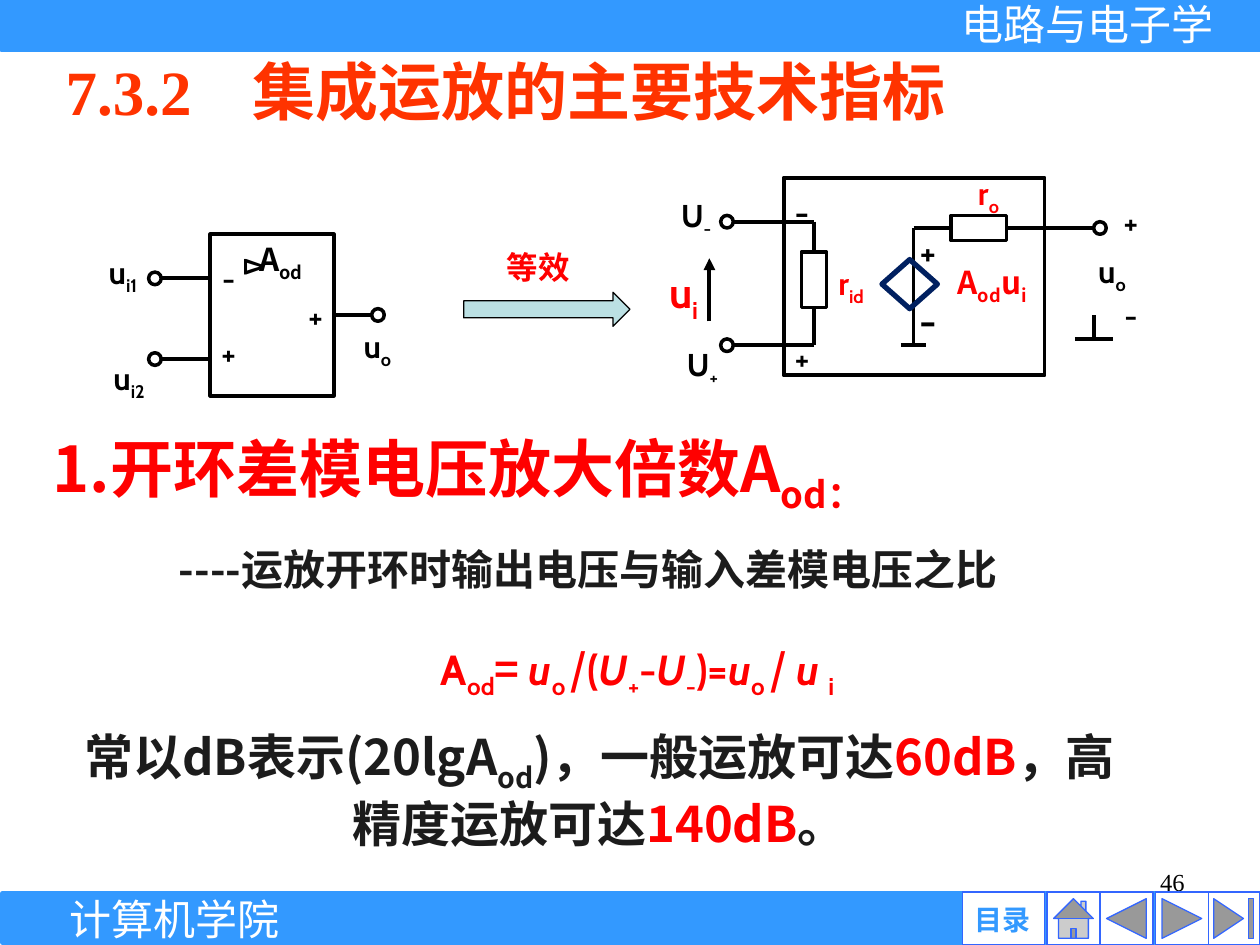
from lxml.etree import SubElement
from pptx import Presentation
from pptx.dml.color import RGBColor
from pptx.enum.shapes import MSO_CONNECTOR, MSO_SHAPE
from pptx.enum.text import MSO_ANCHOR, MSO_AUTO_SIZE, PP_ALIGN
from pptx.oxml.ns import qn
from pptx.util import Inches, Pt

BLACK = RGBColor(0x00, 0x00, 0x00)
WHITE = RGBColor(0xFF, 0xFF, 0xFF)
RED = RGBColor(0xFF, 0x00, 0x00)
ORANGE = RGBColor(0xFF, 0x33, 0x00)
INK = RGBColor(0x1C, 0x1C, 0x1C)
BAR = RGBColor(0x33, 0x99, 0xFF)
BUTTON_LINE = RGBColor(0x33, 0x66, 0xFF)
NAVY = RGBColor(0x00, 0x20, 0x60)
PALE = RGBColor(0xBB, 0xE0, 0xE3)
CABIN, NOTO, TIMES, ARIAL = "Cabin", "Noto Sans CJK SC", "Times New Roman", "Arial"


class SlideBuilder:
    """Holds the current slide and the style of its elements."""

    def __init__(self, s):
        self.s = s

    def shape(self, kind, x, y, w, h, fill=WHITE, line=BLACK, width=2.25):
        sp = self.s.shapes.add_shape(kind, Inches(x), Inches(y), Inches(w), Inches(h))
        sp.shadow.inherit = False
        if fill is None:
            sp.fill.background()
        else:
            sp.fill.solid()
            sp.fill.fore_color.rgb = fill
        sp.line.color.rgb = line
        sp.line.width = Pt(width)
        return sp

    def terminal(self, x, y):
        """Open circle whose left edge is at x and whose middle is at y."""
        return self.shape(MSO_SHAPE.OVAL, x, y - 0.05, 0.1, 0.1, width=2)

    def line(self, x1, y1, x2, y2, begin=None, end=None, arrow=False):
        cxn = self.s.shapes.add_connector(
            MSO_CONNECTOR.STRAIGHT, Inches(x1), Inches(y1), Inches(x2), Inches(y2))
        cxn.line.color.rgb = BLACK
        cxn.line.width = Pt(2.25)
        if begin:
            cxn.begin_connect(*begin)
        if end:
            cxn.end_connect(*end)
        if arrow:
            SubElement(cxn.line._get_or_add_ln(), qn("a:tailEnd"), type="triangle")
        SubElement(cxn._element.spPr, qn("a:effectLst"))
        return cxn

    def paragraph(self, p, parts, size, color, font, bold=True, align=PP_ALIGN.CENTER):
        """Parts are (text, flags): s subscript, i italic, r red, n Noto font."""
        p.alignment = align
        p.font.size, p.font.bold, p.font.color.rgb = Pt(size), bold, color
        if not any("n" in flags for _, flags in parts):
            p.font.name = font
        for text, flags in parts:
            r = p.add_run()
            r.text = text
            if "s" in flags:
                r.font._element.set("baseline", "-25000")
            if "i" in flags:
                r.font.italic = True
            if "r" in flags:
                r.font.color.rgb = RED
            if p.font.name is None:
                r.font.name = NOTO if "n" in flags else font

    def text(self, x, y, w, h, text, size=18, color=BLACK, font=CABIN, bold=True,
             align=PP_ALIGN.CENTER, wrap=True, tight=False):
        """Text is a list of parts, or a string where | toggles subscript."""
        box = self.s.shapes.add_textbox(Inches(x), Inches(y), Inches(w), Inches(h))
        tf = box.text_frame
        tf.word_wrap = wrap
        tf.auto_size = MSO_AUTO_SIZE.SHAPE_TO_FIT_TEXT
        if tight:
            tf.margin_left = tf.margin_right = tf.margin_top = tf.margin_bottom = 0
            tf.vertical_anchor = MSO_ANCHOR.MIDDLE
        if isinstance(text, str):
            text = [(t, "s" if i % 2 else "") for i, t in enumerate(text.split("|"))]
        self.paragraph(tf.paragraphs[0], text, size, color, font, bold, align)
        return box

    def label(self, x, y, text, **style):
        return self.text(x, y, 0.59, 0.4, text, **style)

    def placeholder(self, ph, x, y, w, h, anchor):
        ph.left, ph.top, ph.width, ph.height = Inches(x), Inches(y), Inches(w), Inches(h)
        tf = ph.text_frame
        tf.auto_size = MSO_AUTO_SIZE.NONE
        tf.vertical_anchor = anchor
        return tf


def main():
    prs = Presentation()
    prs.slide_width, prs.slide_height = Inches(10), Inches(7.5)
    s = prs.slides.add_slide(prs.slide_layouts[1])
    b = SlideBuilder(s)
    rect = MSO_SHAPE.RECTANGLE

    # Header and footer bars
    b.text(7.17, 6.83, 2.33, 0.52, "46", 14, font=TIMES, bold=False, align=PP_ALIGN.RIGHT)
    for x, y in ((0.02, 7.09), (0.01, 0)):
        b.shape(rect, x, y, 9.99, 0.39, BAR, BAR, 3)
    b.text(7.63, -0.01, 2.44, 0.4, "电路与电子学", 24, WHITE, ARIAL, False,
           PP_ALIGN.LEFT, tight=True)
    b.text(0.55, 7.09, 1.67, 0.4, "计算机学院", 24, WHITE, TIMES, False,
           wrap=False, tight=True)

    # Navigation buttons
    for kind, x, w in ((MSO_SHAPE.ACTION_BUTTON_END, 9.58, 0.42),
                       (MSO_SHAPE.ACTION_BUTTON_FORWARD_OR_NEXT, 9.17, 0.42),
                       (MSO_SHAPE.ACTION_BUTTON_BACK_OR_PREVIOUS, 8.73, 0.42),
                       (MSO_SHAPE.ACTION_BUTTON_HOME, 8.31, 0.42),
                       (MSO_SHAPE.ACTION_BUTTON_CUSTOM, 7.64, 0.65)):
        b.shape(kind, x, 7.08, w, 0.42, WHITE, BUTTON_LINE, 0.75)
    b.text(7.64, 7.16, 0.63, 0.27, "目录", 16, BAR, ARIAL, tight=True)

    # Equivalent circuit: outline, inputs and resistors
    b.shape(rect, 6.22, 1.41, 2.07, 1.57)
    r_id = b.shape(rect, 6.36, 2, 0.2, 0.44, width=2)
    r_o = b.shape(rect, 7.55, 1.71, 0.44, 0.2, width=2)
    for y, site in ((1.76, 0), (2.74, 2)):
        b.line(5.82, y, 6.46, y)
        b.line(6.46, y, 6.46, 2, end=(r_id, site))
        b.terminal(5.72, y)
    b.line(5.63, 2.55, 5.63, 2.05, arrow=True)

    # Equivalent circuit: controlled source, output and grounds
    b.line(7.25, 1.81, 7.55, 1.81, end=(r_o, 1))
    b.line(7.99, 1.81, 8.68, 1.81, begin=(r_o, 3))
    b.terminal(8.68, 1.81)
    b.line(7.25, 1.81, 7.25, 2.74)
    b.line(7.15, 2.74, 7.35, 2.74)
    b.line(8.68, 2.5, 8.68, 2.69)
    b.line(8.53, 2.69, 8.83, 2.69)
    b.shape(MSO_SHAPE.DIAMOND, 7, 2.06, 0.44, 0.39, None, NAVY, 3)

    # Equivalent circuit: labels
    for x, y, text in ((6.07, 2.64, "+"), (8.68, 1.56, "+"), (8.68, 2.3, "-"),
                       (5.23, 1.51, "U|-"), (5.28, 2.69, "U|+"), (8.53, 1.95, "u|o")):
        b.label(x, y, text)
    for x, y, text in ((6.46, 2.05, "r|id"), (7.55, 1.33, "r|o")):
        b.label(x, y, text, color=RED)
    b.label(6.07, 1.46, "-", size=20)
    b.label(5.13, 2.07, "u|i", size=24, color=RED)
    b.text(7.31, 2.04, 1.13, 0.4, "A|od|u|i", color=RED, font=NOTO)
    b.text(7.15, 1.78, 0.43, 0.44, "+", 20, wrap=False)
    b.text(7.19, 2.29, 0.35, 0.5, "-", 24, wrap=False)

    # Equivalence arrow
    b.text(3.68, 1.92, 1.18, 0.4, "等效", color=RED)
    b.shape(MSO_SHAPE.RIGHT_ARROW, 3.68, 2.32, 1.32, 0.27, PALE, width=0.75)

    # Op-amp symbol
    amp = b.shape(rect, 1.67, 1.86, 0.98, 1.28)
    for y in (2.21, 2.85):
        b.line(1.27, y, 1.67, y)
        b.terminal(1.18, y)
    b.line(2.65, 2.5, 3, 2.5, begin=(amp, 3))
    b.terminal(2.95, 2.5)
    for x, y, text in ((1.52, 2.6, "+"), (2.21, 2.31, "+"), (1.52, 2.01, "-"),
                       (0.68, 1.96, "u|i1"), (0.73, 2.8, "u|i2"), (2.7, 2.55, "u|o")):
        b.label(x, y, text)
    b.text(1.74, 1.86, 0.98, 0.4, "A|od", font=NOTO)
    b.text(1.81, 1.95, 0.4, 0.34, "Δ", 14, font=NOTO, wrap=False).rotation = 90

    # Section heading
    b.text(0.32, 3.36, 8.22, 0.71, "1.开环差模电压放大倍数A|od：", 36, RED, NOTO,
           align=PP_ALIGN.LEFT)

    # Definition and formula
    tf = b.placeholder(s.placeholders[1], 1.12, 4.06, 7.58, 1.52, MSO_ANCHOR.TOP)
    definition, formula = tf.paragraphs[0], tf.add_paragraph()
    b.paragraph(definition, [("----运放开环时输出电压与输入差模电压之比", "")],
                24, INK, NOTO, align=PP_ALIGN.LEFT)
    b.paragraph(formula, [
        ("A", ""), ("od", "s"), ("=", "n"), (" u", "i"), ("o ", "s"), ("/", "n"),
        ("(", ""), ("U", "i"), ("+", "s"), ("-", ""), ("U", "i"), ("-", "s"),
        (")=", ""), ("u", "i"), ("o ", "s"), ("/ ", "n"), ("u ", "i"), ("i", "s"),
    ], 24, RED, CABIN)
    for p, indent, before in ((definition, 0.2, 0), (formula, 0.3, 12)):
        p.line_spacing, p.space_before = 1.5, Pt(before)
        pPr = p._p.get_or_add_pPr()
        pPr.set("marL", str(Inches(indent)))
        pPr.set("indent", "0")
        pPr.insert_element_before(pPr.makeelement(qn("a:buNone"), {}),
                                  "a:tabLst", "a:defRPr", "a:extLst")

    # Typical values
    b.text(0.56, 5.72, 8.4, 1.04, [
        ("常以dB表示(20lgA", ""), ("od", "s"), (")，一般运放可达", ""), ("60dB", "r"),
        ("，高精度运放可达", ""), ("140dB", "r"), ("。", "")], 28, INK, NOTO)

    # Title, with a tab stop after the section number
    tf = b.placeholder(s.shapes.title, 0, 0.37, 8.02, 0.7, MSO_ANCHOR.TOP)
    tf.margin_left = Inches(0.52)
    p = tf.paragraphs[0]
    b.paragraph(p, [("7.3.2\t集成运放的主要技术指标", "")], 36, ORANGE, TIMES,
                align=PP_ALIGN.LEFT)
    pPr = p._p.get_or_add_pPr()
    tabs = pPr.makeelement(qn("a:tabLst"), {})
    SubElement(tabs, qn("a:tab"), pos=str(Inches(1.48)), algn="l")
    pPr.insert_element_before(tabs, "a:defRPr", "a:extLst")

    prs.save("out.pptx")


if __name__ == "__main__":
    main()
